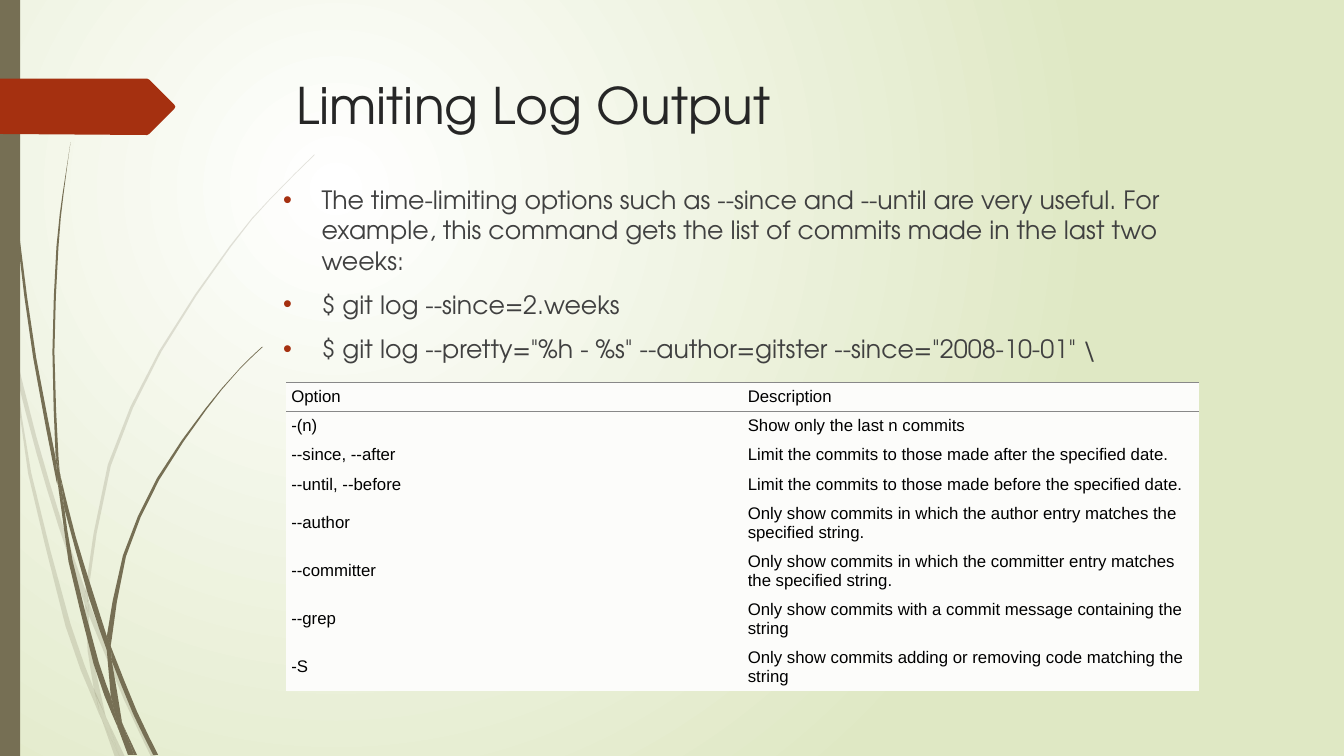
from pptx import Presentation
from pptx import util as u
from pptx.dml import color
from pptx.enum import shapes, text
from pptx.oxml import parse_xml
from pptx.oxml import ns

OLIVE = "766F54"
RUST = "A53010"
HEADING_FONT = "TeX Gyre Adventor"
TABLE_FONT = "Arial"
GRID = 0.0254  # outline unit in cm
PLAIN_TABLE_STYLE = "{2D5ABB26-0587-4C30-8999-92F81FD0307C}"

# Each blade piece has two edges that together run round its outline.
FAINT_BLADES = [
    ([(11, 350), (9, 322), (0, 282)], [(0, 299), (10, 344)]),
    ([(14, 345), (36, 433), (62, 520), (85, 586)],
     [(84, 599), (58, 522), (36, 449), (17, 376)]),
    ([(88, 596), (92, 607), (127, 692), (155, 751)], [(150, 751), (123, 694), (88, 610)]),
    ([(105, 711), (124, 751)], [(119, 751)]),
    ([(11, 350), (17, 376), (31, 469), (70, 619), (93, 683), (99, 707)],
     [(101, 714), (92, 693), (65, 621), (28, 470)]),
    ([(84, 599), (88, 610), (91, 646), (105, 711)], [(96, 692), (93, 683), (87, 646)]),
    ([(88, 596), (88, 584), (110, 462), (160, 349), (229, 245), (268, 198), (312, 154)],
     [(312, 153), (268, 197), (228, 244), (158, 348), (107, 461), (85, 584), (85, 586)]),
    ([(101, 714), (119, 751)], [(114, 751)]),
    ([(85, 586), (88, 596), (88, 610)], [(84, 599)]),
    ([(93, 683), (105, 711), (119, 751)], [(101, 714), (99, 707)]),
]
SOLID_BLADES = [
    ([(4, 0), (5, 48), (8, 109), (19, 232), (36, 355), (55, 453), (57, 481)],
     [(56, 477), (33, 355), (17, 233), (7, 110), (4, 48), (3, 0)]),
    ([(60, 472), (75, 532), (93, 590), (106, 631)], [(106, 645), (88, 592), (64, 505)]),
    ([(110, 641), (113, 649), (136, 706), (157, 749)], [(152, 749), (132, 708), (111, 656)]),
    ([(57, 477), (64, 505), (72, 556), (98, 657), (110, 691), (117, 722)],
     [(111, 708), (93, 659), (68, 557)]),
    ([(70, 141), (63, 193), (58, 245), (54, 349), (58, 453), (60, 472)],
     [(55, 449), (52, 349), (56, 245), (62, 193)]),
    ([(122, 719), (136, 749)], [(133, 749)]),
    ([(57, 477), (55, 449)], [(60, 472), (64, 505)]),
    ([(261, 344), (245, 359), (231, 374), (205, 406), (158, 476), (125, 552),
      (111, 633), (110, 641)],
     [(106, 631), (122, 551), (156, 474), (204, 405), (231, 373), (245, 358), (260, 344)]),
    ([(117, 722), (131, 749)], [(127, 749)]),
    ([(106, 645), (111, 656), (121, 716), (122, 719)], [(116, 706), (110, 691)]),
    ([(106, 631), (110, 641), (111, 656)], [(106, 645)]),
    ([(110, 691), (122, 719), (133, 749)], [(130, 749), (117, 722)]),
]
ARROW = [(0, 78), (146, 78), (148, 79), (173, 104), (174, 106), (173, 108),
         (148, 133), (146, 134), (0, 133)]

BULLETS = [
    "The time-limiting options such as --since and --until are very useful. "
    "For example, this command gets the list of commits made in the last two weeks:",
    "$ git log --since=2.weeks",
    '$ git log --pretty="%h - %s" --author=gitster --since="2008-10-01" \\',
]
OPTIONS = [
    ("Option", "Description"),
    ("-(n)", "Show only the last n commits"),
    ("--since,\u00a0--after", "Limit the commits to those made after the specified date."),
    ("--until,\u00a0--before", "Limit the commits to those made before the specified date."),
    ("--author", "Only show commits in which the author entry matches the specified string."),
    ("--committer", "Only show commits in which the committer entry matches the specified string."),
    ("--grep", "Only show commits with a commit message containing the string"),
    ("-S", "Only show commits adding or removing code matching the string"),
]


def rgb(value):
    """Turn a hex string into a colour."""
    return color.RGBColor.from_string(value)


def write(paragraph, words, size=18, font=HEADING_FONT, ink="000000", before=0):
    """Put formatted text in a paragraph, aligned left."""
    paragraph.alignment = text.PP_ALIGN.LEFT
    paragraph.space_before = u.Pt(before)
    run = paragraph.add_run()
    run.text = words
    run.font.size = u.Pt(size)
    run.font.name = font
    run.font.color.rgb = rgb(ink)


def paint(shape, fill, opacity=100):
    """Give a shape a plain fill without line or shadow."""
    shape.shadow.inherit = False
    shape.line.fill.background()
    shape.fill.solid()
    shape.fill.fore_color.rgb = rgb(fill)
    if opacity < 100:
        tint = shape.element.spPr.xpath("./a:solidFill/a:srgbClr")[0]
        tint.append(parse_xml(f'<a:alpha {ns.nsdecls("a")} val="{opacity * 1000}"/>'))


def add_background(slide):
    """Fill the background with a radial white to green gradient."""
    fill = slide.background.fill
    fill.gradient()
    for stop, tint in zip(fill.gradient_stops, ("FFFFFF", "DFE8C4")):
        stop.color.rgb = rgb(tint)
    gradient = slide.element.xpath(".//a:gradFill")[0]
    for linear in gradient.xpath("./a:lin"):
        gradient.remove(linear)
    gradient.append(parse_xml(
        f'<a:path {ns.nsdecls("a")} path="circle">'
        '<a:fillToRect l="50000" t="50000" r="100000" b="100000"/></a:path>'))


def smooth_edge(points, steps=2):
    """Return points along a Catmull-Rom curve through the given points."""
    if len(points) < 3:
        return points
    padded = [points[0], *points, points[-1]]
    curve = []
    for a, b, c, d in zip(padded, padded[1:], padded[2:], padded[3:]):
        for step in range(steps):
            t = step / steps
            curve.append(tuple(
                q + t * (r - p + t * (2 * p - 5 * q + 4 * r - s
                                      + t * (3 * q - p - 3 * r + s))) / 2
                for p, q, r, s in zip(a, b, c, d)))
    return curve + [points[-1]]


def add_outline(slide, points, fill, opacity=100):
    """Draw a filled closed outline through points in grid units."""
    corners = [(u.Cm(x * GRID), u.Cm(y * GRID)) for x, y in points]
    builder = slide.shapes.build_freeform(*corners[0])
    builder.add_line_segments(corners[1:], close=True)
    paint(builder.convert_to_shape(), fill, opacity)


def open_frame(shape, left, top, width, height):
    """Move a placeholder and return its top-anchored text frame."""
    shape.left, shape.top = u.Cm(left), u.Cm(top)
    shape.width, shape.height = u.Cm(width), u.Cm(height)
    frame = shape.text_frame
    frame.word_wrap = True
    frame.auto_size = text.MSO_AUTO_SIZE.NONE
    frame.vertical_anchor = text.MSO_ANCHOR.TOP
    return frame


def add_bullet(paragraph):
    """Give a paragraph a hanging rust-coloured bullet."""
    properties = paragraph._p.get_or_add_pPr()
    properties.set("marL", str(u.Cm(0.97)))
    properties.set("indent", str(-u.Cm(0.97)))
    for item in (f'<a:buClr {ns.nsdecls("a")}><a:srgbClr val="{RUST}"/></a:buClr>',
                 f'<a:buFont {ns.nsdecls("a")} typeface="Arial"/>',
                 f'<a:buChar {ns.nsdecls("a")} char="\u2022"/>'):
        properties.append(parse_xml(item))


def set_border(cell, side, visible):
    """Draw a thin grey border on one side of a cell, or clear it."""
    ink = '<a:solidFill><a:srgbClr val="888888"/></a:solidFill>' if visible else "<a:noFill/>"
    cell._tc.get_or_add_tcPr().append(parse_xml(
        f'<a:{side} {ns.nsdecls("a")} w="{u.Pt(0.75)}">{ink}</a:{side}>'))


def fill_cell(cell, words, row):
    """Format one table cell with its text and borders."""
    set_border(cell, "lnT", row < 2)
    set_border(cell, "lnB", row == 0)
    cell.fill.solid()
    cell.fill.fore_color.rgb = rgb("FCFCFA")
    cell.vertical_anchor = text.MSO_ANCHOR.MIDDLE
    cell.margin_left = cell.margin_right = u.Cm(0.13)
    cell.margin_top = cell.margin_bottom = u.Cm(0.13)
    write(cell.text_frame.paragraphs[0], words, size=12, font=TABLE_FONT)


def add_options_table(slide):
    """Add the table of log options."""
    frame = slide.shapes.add_table(len(OPTIONS), 2, u.Cm(7.21), u.Cm(9.63),
                                   u.Cm(23.01), u.Cm(8.18))
    table = frame.table
    table.first_row = table.horz_banding = False
    table._tbl.tblPr.xpath("./a:tableStyleId")[0].text = PLAIN_TABLE_STYLE
    for row, entry in enumerate(OPTIONS):
        table.rows[row].height = u.Cm(0.58 if row < 4 else 0.97)
        for column, words in enumerate(entry):
            fill_cell(table.cell(row, column), words, row)
    frame.height = u.Cm(8.18)


def main():
    """Build the slide and save it."""
    presentation = Presentation()
    presentation.slide_width, presentation.slide_height = u.Cm(33.87), u.Cm(19.05)
    slide = presentation.slides.add_slide(presentation.slide_layouts[1])
    title, body = slide.placeholders
    add_background(slide)
    for blades, opacity in ((FAINT_BLADES, 20), (SOLID_BLADES, 100)):
        for first, second in blades:
            add_outline(slide, smooth_edge(first) + smooth_edge(second), OLIVE, opacity)
    bar = slide.shapes.add_shape(shapes.MSO_SHAPE.RECTANGLE, 0, 0, u.Cm(0.51), u.Cm(19.05))
    paint(bar, OLIVE)
    add_outline(slide, ARROW, RUST)

    heading = open_frame(title, 7.21, 1.73, 24.77, 3.56)
    write(heading.paragraphs[0], "Limiting Log Output", size=36, ink="262626")
    bullets = open_frame(body, 6.88, 4.52, 24.77, 10.49)
    for index, words in enumerate(BULLETS):
        paragraph = bullets.add_paragraph() if index else bullets.paragraphs[0]
        write(paragraph, words, ink="404040", before=10)
        add_bullet(paragraph)
    for placeholder in (title, body):
        slide.shapes._spTree.append(placeholder.element)
    add_options_table(slide)
    presentation.save("out.pptx")


main()
